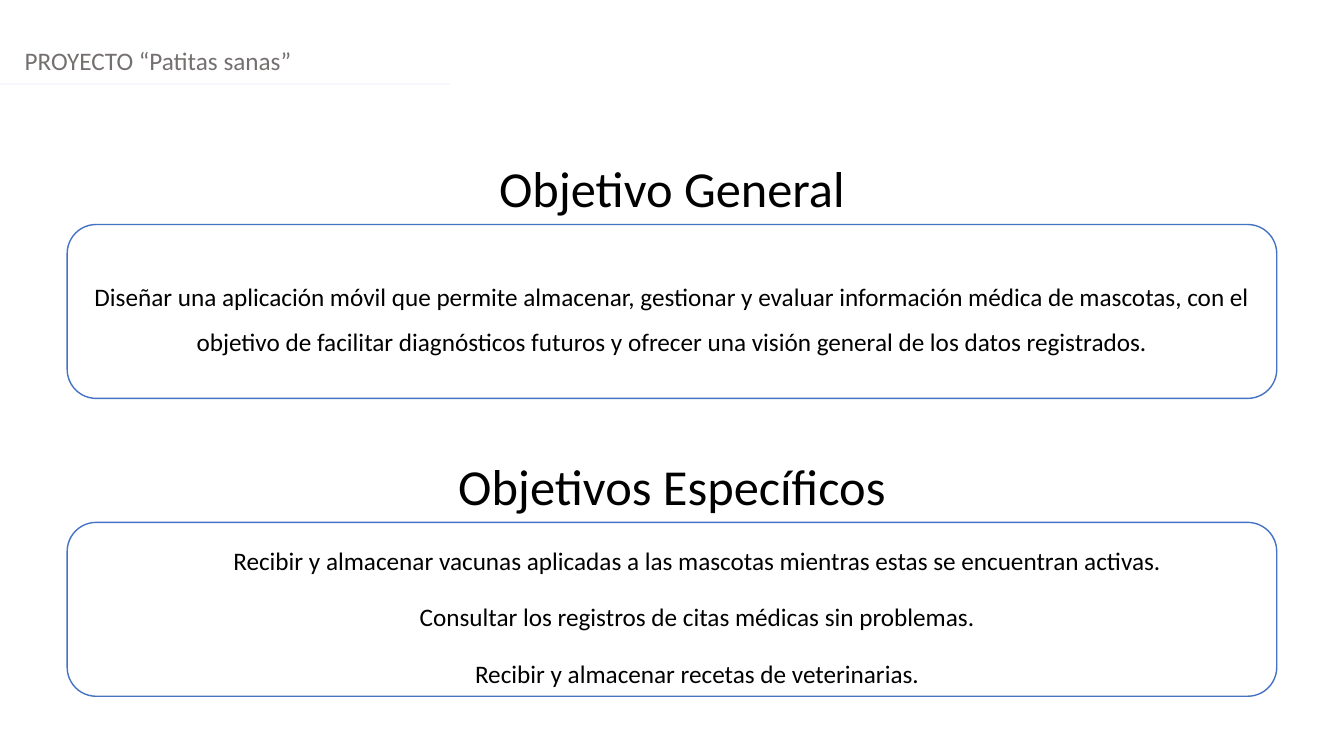
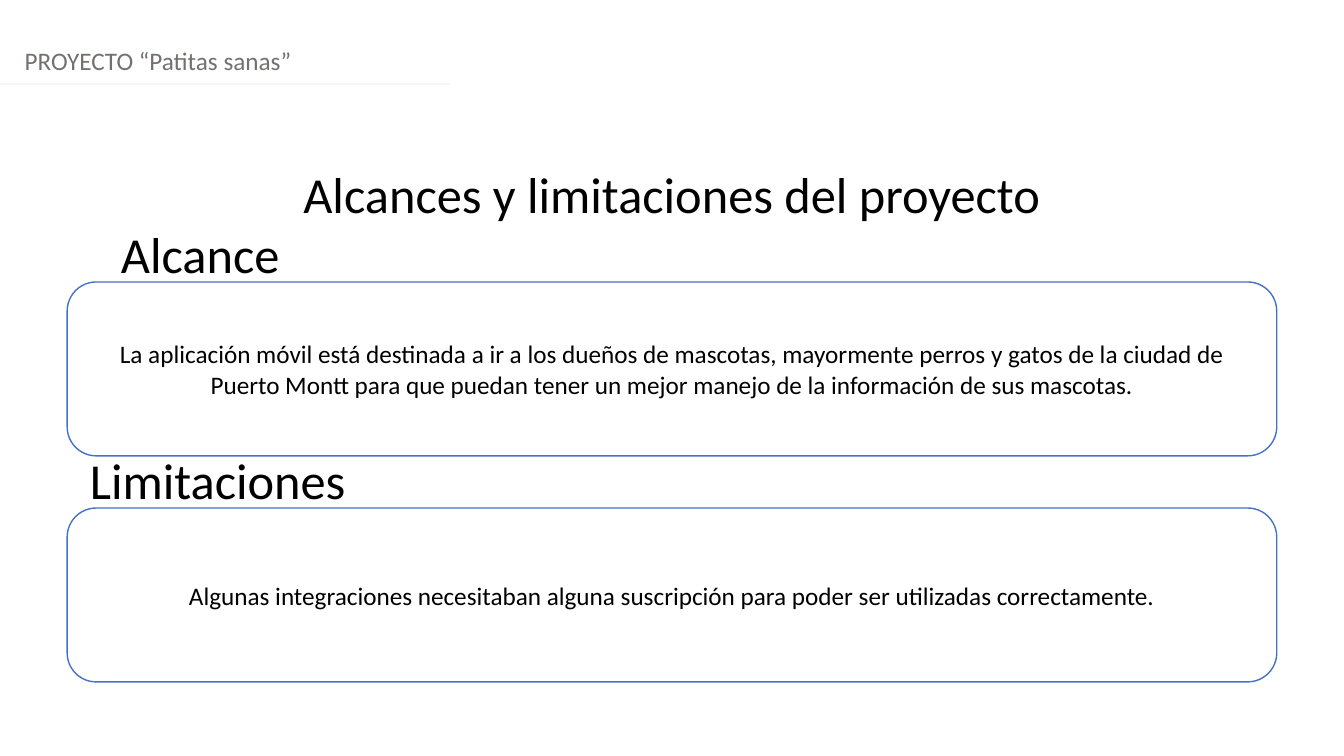
from pptx import Presentation
from pptx.dml.color import RGBColor
from pptx.enum.shapes import MSO_CONNECTOR, MSO_SHAPE
from pptx.enum.text import MSO_ANCHOR, PP_ALIGN
from pptx.oxml.ns import qn
from pptx.util import Inches, Pt
from lxml.etree import SubElement

GREY, BLACK, WHITE = "757070", "000000", "FFFFFF"
BLUE, PALE = "4472C4", "F5F7FC"
BODY_SIZE, TITLE_SIZE = 18, 36
BOX_LEFT, BOX_WIDTH, BOX_HEIGHT = 5, 90, 23
TITLE_HEIGHT = 9.5

presentation = Presentation()
presentation.slide_width = Inches(13.33)
presentation.slide_height = Inches(7.5)


def color(value):
    return RGBColor.from_string(value)


def write(shape, texts, size, ink, alignment):
    frame = shape.text_frame
    frame.word_wrap = True
    frame.text = "\n".join(texts)
    for paragraph in frame.paragraphs:
        paragraph.alignment = alignment
        paragraph.font.name = "Calibri"
        paragraph.font.size = Pt(size)
        paragraph.font.color.rgb = color(ink)
    return frame


slides = [
    {
        "titles": [
            ("Objetivo General", 0, 20.1, 100),
            ("Objetivos Específicos", 0, 59.5, 100),
        ],
        "spaced": True,
        "boxes": [
            (29.7, 0, [
                "Diseñar una aplicación móvil que permite almacenar, gestionar y evaluar "
                "información médica de mascotas, con el objetivo de facilitar diagnósticos "
                "futuros y ofrecer una visión general de los datos registrados.",
            ]),
            (69.1, 0.5, [
                "Recibir y almacenar vacunas aplicadas a las mascotas mientras estas se "
                "encuentran activas.",
                "Consultar los registros de citas médicas sin problemas.",
                "Recibir y almacenar recetas de veterinarias.",
            ]),
        ],
    },
    {
        "titles": [
            ("Alcances y limitaciones del proyecto", 0, 20.9, 100),
            ("Alcance", 2.6, 28.9, 24.6),
            ("Limitaciones", 3.9, 58.8, 24.6),
        ],
        "spaced": False,
        "boxes": [
            (37.3, 0, [
                "La aplicación móvil está destinada a ir a los dueños de mascotas, "
                "mayormente perros y gatos de la ciudad de Puerto Montt para que puedan "
                "tener un mejor manejo de la información de sus mascotas.",
            ]),
            (67.2, 0, [
                "Algunas integraciones necesitaban alguna suscripción para poder ser "
                "utilizadas correctamente.",
            ]),
        ],
    },
]

column = presentation.slide_width / 100
row = presentation.slide_height / 100

for content in slides:
    slide = presentation.slides.add_slide(presentation.slide_layouts[6])

    header = slide.shapes.add_textbox(
        int(1.1 * column), int(5.3 * row), int(90 * column), int(5.4 * row))
    write(header, ["PROYECTO “Patitas sanas”"], BODY_SIZE, GREY, PP_ALIGN.LEFT)

    rule_top = int(11.1 * row)
    rule = slide.shapes.add_connector(
        MSO_CONNECTOR.STRAIGHT, 0, rule_top, int(33.5 * column), rule_top)
    rule.line.color.rgb = color(PALE)
    rule.line.width = Pt(1.25)
    SubElement(rule.line._get_or_add_ln().getparent(), qn("a:effectLst"))

    for top, indent, texts in content["boxes"]:
        box = slide.shapes.add_shape(
            MSO_SHAPE.ROUNDED_RECTANGLE, int(BOX_LEFT * column), int(top * row),
            int(BOX_WIDTH * column), int(BOX_HEIGHT * row))
        box.shadow.inherit = False
        box.fill.solid()
        box.fill.fore_color.rgb = color(WHITE)
        box.line.color.rgb = color(BLUE)
        box.line.width = Pt(1)
        frame = write(box, texts, BODY_SIZE, BLACK, PP_ALIGN.CENTER)
        frame.vertical_anchor = MSO_ANCHOR.MIDDLE
        for paragraph in frame.paragraphs:
            if indent:
                paragraph._p.get_or_add_pPr().set("marL", str(Inches(indent)))
            if content["spaced"]:
                paragraph.line_spacing = 1.5
                paragraph.space_after = Pt(8)

    for text, left, top, width in content["titles"]:
        title = slide.shapes.add_textbox(
            int(left * column), int(top * row),
            int(width * column), int(TITLE_HEIGHT * row))
        write(title, [text], TITLE_SIZE, BLACK, PP_ALIGN.CENTER)

presentation.save("out.pptx")
